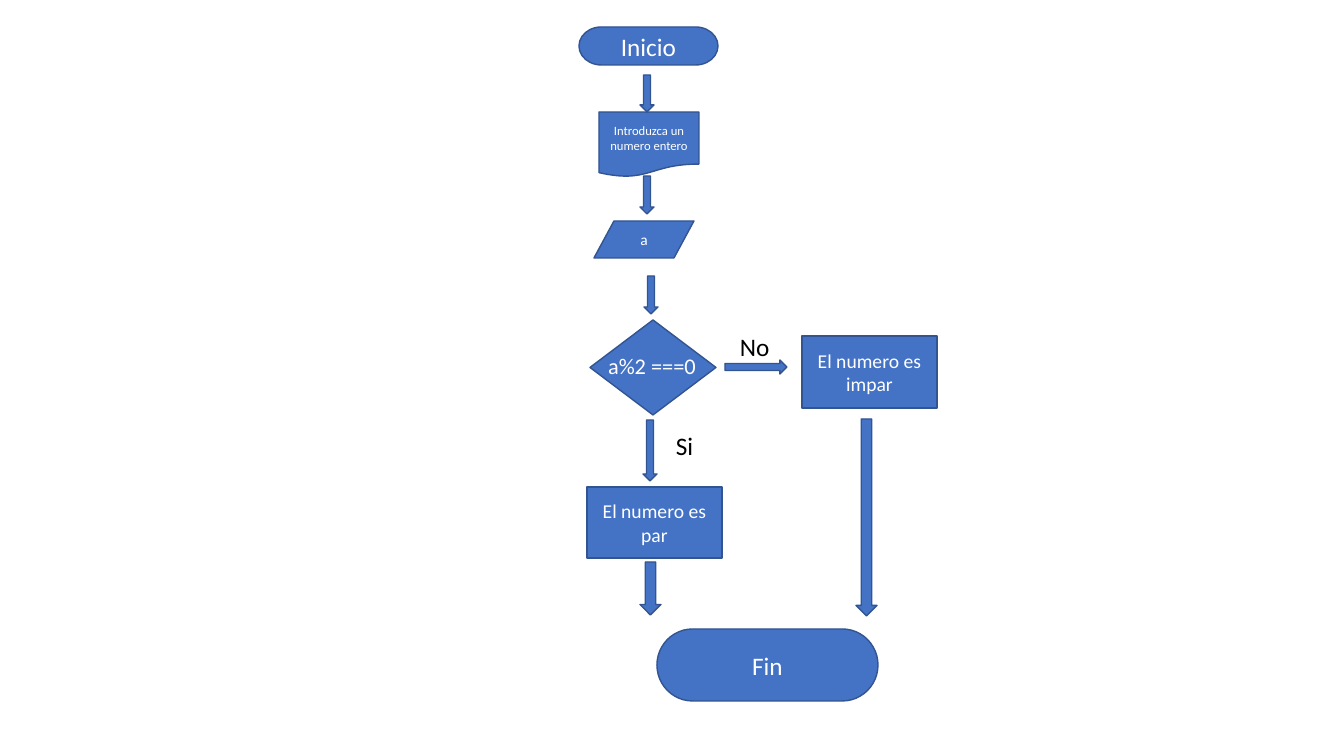
from pptx import Presentation
from pptx.dml.color import RGBColor
from pptx.enum.shapes import MSO_SHAPE
from pptx.enum.text import MSO_ANCHOR, PP_ALIGN
from pptx.util import Emu, Pt

TERMINATOR = MSO_SHAPE.FLOWCHART_TERMINATOR
DOCUMENT = MSO_SHAPE.FLOWCHART_DOCUMENT
DATA = MSO_SHAPE.FLOWCHART_DATA
DECISION = MSO_SHAPE.FLOWCHART_DECISION
RECTANGLE = MSO_SHAPE.RECTANGLE
DOWN = MSO_SHAPE.DOWN_ARROW
RIGHT = MSO_SHAPE.RIGHT_ARROW
LEFT, CENTER = PP_ALIGN.LEFT, PP_ALIGN.CENTER
TOP, MIDDLE = MSO_ANCHOR.TOP, MSO_ANCHOR.MIDDLE

THEME = {
    "font": "Calibri",
    "fill": RGBColor(0x44, 0x72, 0xC4),
    "outline": RGBColor(0x32, 0x54, 0x91),
    "light": RGBColor(0xFF, 0xFF, 0xFF),
    "dark": RGBColor(0, 0, 0),
    "terminal": 18, "prompt": 9, "input": 11,
    "result": 14, "condition": 16, "branch": 18,
}

STEPS = [
    (TERMINATOR, "Inicio", "terminal", (579, 27, 139, 38)),
    (DOCUMENT, "Introduzca un numero entero", "prompt", (599, 112, 100, 65)),
    (DATA, "a", "input", (594, 221, 100, 37)),
    (DECISION, "", "condition", (590, 320, 126, 95)),
    (RECTANGLE, "El numero es impar", "result", (802, 336, 135, 72)),
    (RECTANGLE, "El numero es par", "result", (587, 487, 135, 71)),
    (TERMINATOR, "Fin", "terminal", (657, 629, 221, 72)),
]
ARROWS = [
    (DOWN, (640, 75, 14, 37)),
    (DOWN, (640, 176, 14, 38)),
    (DOWN, (644, 276, 14, 38)),
    (DOWN, (643, 420, 14, 61)),
    (RIGHT, (725, 360, 62, 14)),
    (DOWN, (640, 562, 21, 53)),
    (DOWN, (856, 419, 21, 197)),
]
LABELS = [
    ("a%2 ===0", "condition", "light", CENTER, (592, 347, 120, 37)),
    ("No", "branch", "dark", LEFT, (730, 326, 61, 40)),
    ("Si", "branch", "dark", LEFT, (666, 425, 49, 40)),
]


def pixels(*lengths):
    return [Emu(round(length * 914400 / 100.8)) for length in lengths]


def write(box, text, size, color, align, anchor):
    frame = box.text_frame
    frame.word_wrap = True
    frame.vertical_anchor = anchor
    para = frame.paragraphs[0]
    para.alignment = align
    span = para.add_run()
    span.text = text
    span.font.name = THEME["font"]
    span.font.size = Pt(THEME[size])
    span.font.color.rgb = THEME[color]


def add_block(page, kind, place):
    block = page.shapes.add_shape(kind, *pixels(*place))
    block.shadow.inherit = False
    block.fill.solid()
    block.fill.fore_color.rgb = THEME["fill"]
    block.line.color.rgb = THEME["outline"]
    block.line.width = Pt(1)
    return block


deck = Presentation()
deck.slide_width, deck.slide_height = pixels(1344, 756)
page = deck.slides.add_slide(deck.slide_layouts[6])

for kind, text, size, place in STEPS:
    step = add_block(page, kind, place)
    if text:
        write(step, text, size, "light", CENTER, MIDDLE)

for kind, place in ARROWS:
    add_block(page, kind, place)

for text, size, color, align, place in LABELS:
    label = page.shapes.add_textbox(*pixels(*place))
    write(label, text, size, color, align, TOP)

deck.save("out.pptx")
